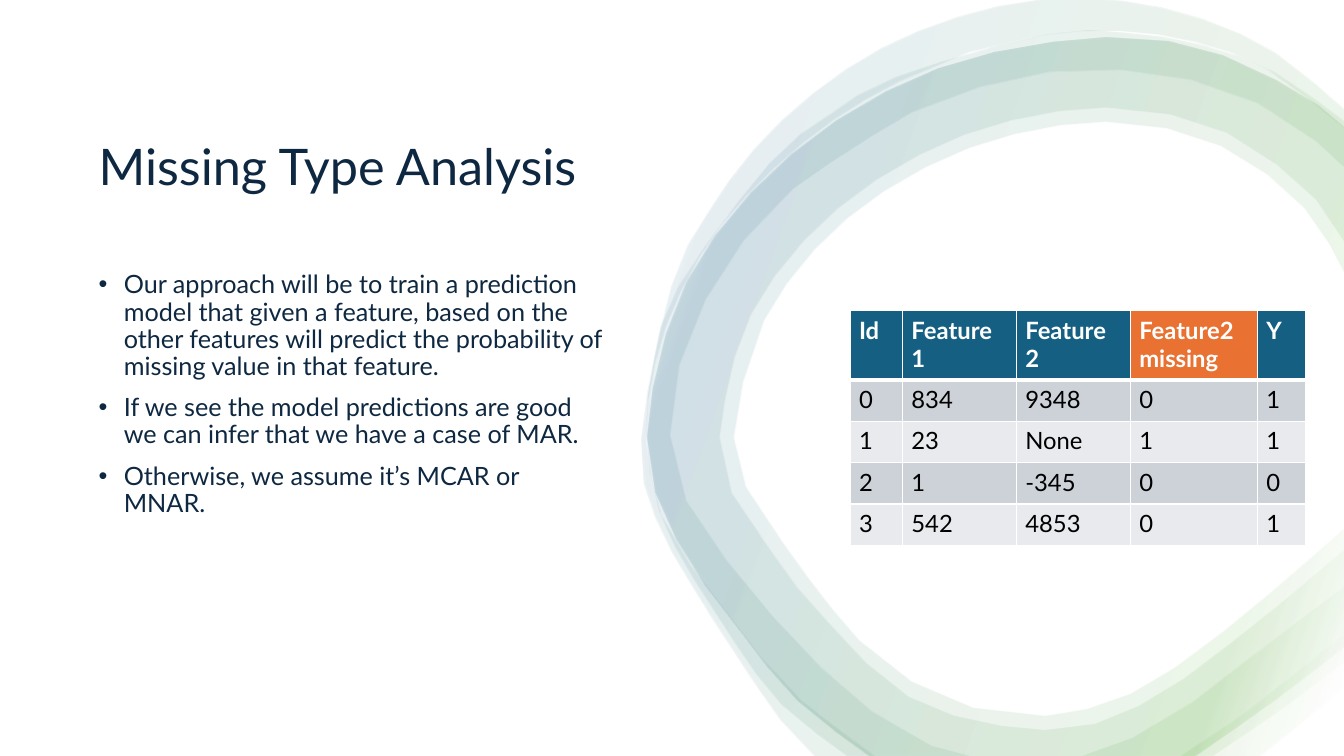
from dataclasses import dataclass
from math import dist
from typing import NamedTuple

from lxml.etree import SubElement
from pptx import Presentation
from pptx.dml.color import RGBColor
from pptx.enum.shapes import MSO_SHAPE
from pptx.enum.text import MSO_ANCHOR
from pptx.oxml.ns import qn
from pptx.util import Inches, Pt

Point = tuple[float, float]
Stroke = list[Point]


@dataclass(frozen=True)
class Theme:
    font: str = "Lato"
    navy: str = "0E2841"
    teal: str = "156082"
    orange: str = "E97132"
    green: str = "4EA72E"
    white: str = "FFFFFF"
    black: str = "000000"
    dark_row: str = "CCD2D8"
    light_row: str = "E8EAED"
    title_size: float = 36
    body_size: float = 18
    table_size: float = 17
    band_opacity: int = 10


class Band(NamedTuple):
    contours: list[list[Stroke]]


class TextBlock(NamedTuple):
    left: float
    top: float
    width: float
    height: float
    size: float
    lines: list[str]
    bulleted: bool


class Column(NamedTuple):
    heading: str
    width: float
    fill: str
    values: list[str]


THEME = Theme()
PAGE_WIDTH, PAGE_HEIGHT = 13.33, 7.5
CHORD_LENGTH = 0.5
HEADER_HEIGHT, ROW_HEIGHT = 0.69, 0.41

RIBBON_OUTER: Stroke = [
    (8.62, 7.5), (7.91, 6.95), (7.32, 6.23), (6.71, 5.35), (6.42, 4.34), (6.81, 2.8), (7.85, 1.53),
    (9.3, 0.68), (10.96, 0.37), (12.12, 0.55), (13.07, 1.05), (13.33, 1.27)]
RIBBON_TAIL: Stroke = [(13.33, 6.41), (12.66, 6.93), (11.85, 7.5)]
WIDE_INNER: Stroke = [
    (13.33, 2.41), (13.04, 1.98), (12.16, 1.32), (10.96, 1.07), (9.56, 1.34), (8.31, 2.07),
    (7.45, 3.12), (7.14, 4.34), (7.26, 4.89), (7.65, 5.47), (7.91, 5.83), (9.01, 6.91),
    (10.36, 7.24), (11.29, 7), (12.21, 6.37), (13.33, 5.45)]
WIDEST_INNER: Stroke = [
    (13.33, 2.72), (12.93, 2.07), (12.1, 1.45), (10.96, 1.21), (9.61, 1.47), (8.4, 2.17),
    (7.58, 3.18), (7.28, 4.34), (7.4, 4.83), (7.77, 5.39), (8.03, 5.75), (8.52, 6.35),
    (9.04, 6.76), (9.65, 7.02), (10.36, 7.1), (11.21, 6.88), (12.13, 6.26), (13.33, 5.24)]
HALO_INNER: Stroke = [
    (13.33, 1.28), (12.56, 0.69), (11.85, 0.42), (11.1, 0.31), (10.34, 0.35),
    (9.61, 0.52), (8.92, 0.81), (8.27, 1.19), (7.68, 1.67), (7.16, 2.23), (6.76, 2.88),
    (6.5, 3.6), (6.41, 4.36), (6.56, 5.11), (6.85, 5.6), (7.21, 6.07), (7.56, 6.53),
    (7.95, 6.95), (8.68, 7.5)]
HALO_OUTER: Stroke = [
    (8.08, 7.5), (7.74, 7.14), (7.29, 6.48), (6.87, 5.82), (6.5, 5.13), (6.36, 4.36),
    (6.66, 2.84), (7.01, 2.13), (7.48, 1.48), (8.06, 0.93), (8.74, 0.48), (9.5, 0.17),
    (10.3, 0), (11.12, 0.01), (11.92, 0.19), (12.65, 0.53), (13.33, 1.09)]
NARROW_INNER: Stroke = [
    (13.33, 1.67), (13.05, 1.41), (12.47, 1.03), (11.81, 0.8), (11.11, 0.7), (10.41, 0.72),
    (9.72, 0.87), (9.05, 1.12), (7.87, 1.88), (7.38, 2.39), (7, 2.98), (6.74, 3.63),
    (6.65, 4.32), (6.81, 4.97), (7.2, 5.55), (7.66, 6.11), (8.14, 6.62), (8.65, 7.06),
    (9.24, 7.4), (9.62, 7.5)]
NARROW_OUTER: Stroke = [
    (8.4, 7.5), (7.75, 6.99), (7.29, 6.38), (6.89, 5.76), (6.54, 5.08), (6.41, 4.32),
    (6.49, 3.57), (6.73, 2.85), (7.63, 1.63), (8.22, 1.15), (8.89, 0.77), (10.36, 0.35),
    (11.13, 0.33), (11.9, 0.45), (12.63, 0.72), (13.33, 1.21)]

BANDS = [
    Band([
        [[(13.33, 6.29), (13.33, 6.81)],
         [(12.88, 7.19), (12.49, 7.5)],
         [(11.7, 7.5), (12.3, 7.1), (13.33, 6.29)]],
        [HALO_INNER, HALO_OUTER],
    ]),
    Band([
        [[(13.33, 6.56), (12.76, 7), (12.03, 7.5)],
         [(10.73, 7.5), (11.23, 7.32), (11.82, 6.97), (12.39, 6.53), (13.33, 5.82)]],
        [NARROW_INNER, NARROW_OUTER],
    ]),
    Band([[WIDE_INNER, RIBBON_TAIL, RIBBON_OUTER]]),
    Band([[WIDEST_INNER, RIBBON_TAIL, RIBBON_OUTER]]),
]
TEXT_BLOCKS = [
    TextBlock(0.88, 0.88, 5.21, 1.59, THEME.title_size, ["Missing Type Analysis"], False),
    TextBlock(0.88, 2.65, 5.21, 3.67, THEME.body_size, [
        "Our approach will be to train a prediction model that given a feature, based on the "
        "other features will predict the probability of missing value in that feature.",
        "If we see the model predictions are good we can infer that we have a case of MAR.",
        "Otherwise, we assume it’s MCAR or MNAR.",
    ], True),
]
COLUMNS = [
    Column("Id", 0.52, THEME.teal, ["0", "1", "2", "3"]),
    Column("Feature 1", 1.13, THEME.teal, ["834", "23", "1", "542"]),
    Column("Feature 2", 1.13, THEME.teal, ["9348", "None", "-345", "4853"]),
    Column("Feature2 missing", 1.26, THEME.orange, ["0", "1", "0", "0"]),
    Column("Y", 0.48, THEME.teal, ["1", "1", "0", "1"]),
]


def smooth(stroke: Stroke) -> Stroke:
    padded = [stroke[0], *stroke, stroke[-1]]
    curve = [stroke[0]]
    for a, b, c, d in zip(padded, padded[1:], padded[2:], padded[3:]):
        steps = max(1, round(dist(b, c) / CHORD_LENGTH))
        for step in range(1, steps + 1):
            t = step / steps
            x, y = (
                b[i] + t * (c[i] - a[i]) / 2
                + t**2 * (2 * a[i] - 5 * b[i] + 4 * c[i] - d[i]) / 2
                + t**3 * (3 * b[i] - a[i] - 3 * c[i] + d[i]) / 2
                for i in range(2))
            curve.append((min(x, PAGE_WIDTH), min(y, PAGE_HEIGHT)))
    return curve


def draw_band(page, band: Band) -> None:
    builder = None
    for strokes in band.contours:
        points = [(Inches(x), Inches(y)) for stroke in strokes for x, y in smooth(stroke)]
        if builder is None:
            builder = page.shapes.build_freeform(*points[0], scale=1.0)
        else:
            builder.move_to(*points[0])
        builder.add_line_segments(points[1:], close=True)
    shape = builder.convert_to_shape()
    shape.shadow.inherit = False
    shape.line.fill.background()
    shape.fill.gradient()
    shape.fill.gradient_angle = 160
    stops = shape.element.spPr.find(".//" + qn("a:gsLst"))
    stops.clear()
    colors = [(2, THEME.white), (16, THEME.green), (85, THEME.teal), (100, THEME.white)]
    for position, color in colors:
        stop = SubElement(stops, qn("a:gs"), pos=str(position * 1000))
        paint = SubElement(stop, qn("a:srgbClr"), val=color)
        SubElement(paint, qn("a:alpha"), val=str(THEME.band_opacity * 1000))


def style_text(para, size: float, color: str, bold: bool = False) -> None:
    for span in para.runs:
        span.font.name, span.font.size, span.font.bold = THEME.font, Pt(size), bold
        span.font.color.rgb = RGBColor.from_string(color)


def draw_text(page, block: TextBlock) -> None:
    box = page.shapes.add_textbox(*map(Inches, block[:4]))
    frame = box.text_frame
    frame.word_wrap = True
    frame.vertical_anchor = MSO_ANCHOR.TOP if block.bulleted else MSO_ANCHOR.MIDDLE
    frame.text = "\n".join(block.lines)
    for para in frame.paragraphs:
        para.line_spacing = 0.9
        style_text(para, block.size, THEME.navy)
        if block.bulleted:
            para.space_before = Pt(10)
            settings = para._p.get_or_add_pPr()
            settings.set("marL", str(Inches(0.25)))
            settings.set("indent", str(Inches(-0.25)))
            SubElement(settings, qn("a:buFont"), typeface="Arial")
            SubElement(settings, qn("a:buChar"), char="•")


def draw_cell(cell, text: str, fill: str, header: bool, below_header: bool) -> None:
    cell.text = text
    cell.margin_left = cell.margin_right = Inches(0.09)
    cell.margin_top = cell.margin_bottom = Inches(0.05)
    style_text(cell.text_frame.paragraphs[0], THEME.table_size,
               THEME.white if header else THEME.black, header)
    settings = cell._tc.get_or_add_tcPr()
    widths = {"lnL": 1, "lnR": 1, "lnT": 3 if below_header else 1, "lnB": 3 if header else 1}
    for side, width in widths.items():
        border = SubElement(settings, qn("a:" + side), w=str(Pt(width)))
        paint = SubElement(border, qn("a:solidFill"))
        SubElement(paint, qn("a:srgbClr"), val=THEME.white)
    cell.fill.solid()
    cell.fill.fore_color.rgb = RGBColor.from_string(fill)


def draw_table(page, columns: list[Column]) -> None:
    count = len(columns[0].values) + 1
    table = page.shapes.add_table(
        count, len(columns), Inches(8.43), Inches(3.08),
        Inches(sum(column.width for column in columns)),
        Inches(HEADER_HEIGHT + ROW_HEIGHT * (count - 1))).table
    for index, row in enumerate(table.rows):
        row.height = Inches(ROW_HEIGHT if index else HEADER_HEIGHT)
    for place, column in enumerate(columns):
        table.columns[place].width = Inches(column.width)
        for index, text in enumerate([column.heading, *column.values]):
            stripe = THEME.dark_row if index % 2 else THEME.light_row
            draw_cell(table.cell(index, place), text, stripe if index else column.fill,
                      index == 0, index == 1)


def main() -> None:
    deck = Presentation()
    deck.slide_width, deck.slide_height = Inches(PAGE_WIDTH), Inches(PAGE_HEIGHT)
    page = deck.slides.add_slide(deck.slide_layouts[6])
    backdrop = page.shapes.add_shape(
        MSO_SHAPE.RECTANGLE, 0, 0, deck.slide_width, deck.slide_height)
    backdrop.shadow.inherit = False
    backdrop.fill.solid()
    backdrop.fill.fore_color.rgb = RGBColor.from_string(THEME.white)
    backdrop.line.fill.background()
    for band in BANDS:
        draw_band(page, band)
    for block in TEXT_BLOCKS:
        draw_text(page, block)
    draw_table(page, COLUMNS)
    deck.save("out.pptx")


if __name__ == "__main__":
    main()
